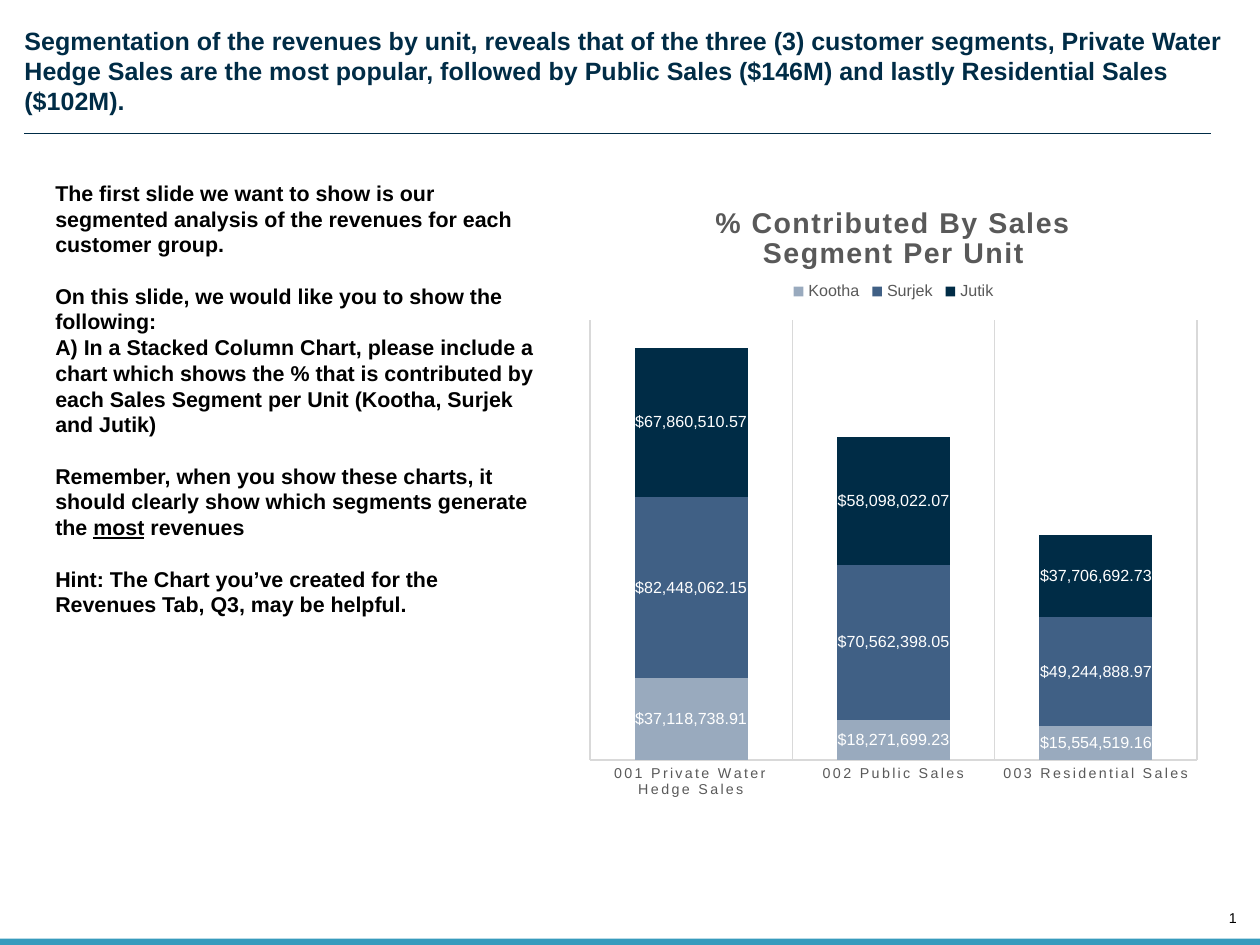
from typing import NamedTuple

from lxml import etree
from pptx import Presentation
from pptx import util as u
from pptx.chart.data import CategoryChartData
from pptx.dml.color import RGBColor
from pptx.enum import chart as ch, shapes, text
from pptx.oxml import parse_xml
from pptx.oxml.ns import nsdecls, qn

WIDE, HIGH = 9.8, 7.35
NAVY, GREY, PALE, BLACK, WHITE = "002C46", "595959", "D9D9D9", "000000", "FFFFFF"
MONEY = '"$"#,##0.00;[Red]\\-"$"#,##0.00'
HEAD = ("Segmentation of the revenues by unit, reveals that of the three (3) customer "
        "segments, Private Water Hedge Sales are the most popular, followed by Public "
        "Sales ($146M) and lastly Residential Sales ($102M).")
NOTES = [
    ["The first slide we want to show is our segmented analysis of the revenues for each "
     "customer group."],
    ["On this slide, we would like you to show the following:\vA) In a Stacked Column Chart, "
     "please include a chart which shows the % that is contributed by each Sales Segment "
     "per Unit (Kootha, Surjek and Jutik)"],
    ["Remember, when you show these charts, it should clearly show which segments generate "
     "the ", "most", " revenues"],
    ["Hint: The Chart you’ve created for the Revenues Tab, Q3, may be helpful."],
]
GROUPS = ["001 Private Water Hedge Sales", "002 Public Sales", "003 Residential Sales"]


class Box(NamedTuple):
    """Hold a place on the slide in inches."""
    left: float
    top: float
    wide: float
    high: float

    def emu(self) -> list[int]:
        """Give the four lengths in slide units."""
        return [u.Inches(n) for n in self]


class Unit(NamedTuple):
    """Hold one business unit with its colour and sales."""
    name: str
    tint: str
    sales: list[float]


UNITS = [
    Unit("Kootha", "99AABE", [37118738.91, 18271699.23, 15554519.16]),
    Unit("Surjek", "406085", [82448062.15, 70562398.05, 49244888.97]),
    Unit("Jutik", NAVY, [67860510.57, 58098022.07, 37706692.73]),
]


def paint(color, tint: str) -> None:
    """Set a colour from a hex string."""
    color.rgb = RGBColor.from_string(tint)


def style(font, size: float, tint: str, bold: bool = False) -> None:
    """Set face, size, colour and weight of a font."""
    font.name, font.size, font.bold = "Arial", u.Pt(size), bold
    paint(font.color, tint)


def stroke(line, tint: str) -> None:
    """Draw a thin line in a colour."""
    paint(line.color, tint)
    line.width = u.Pt(0.75)


def place(shape, box: Box, inset: float = 0) -> None:
    """Move a text shape and reset its frame."""
    shape.left, shape.top, shape.width, shape.height = box.emu()
    frame = shape.text_frame
    frame.auto_size = text.MSO_AUTO_SIZE.NONE
    frame.vertical_anchor = text.MSO_ANCHOR.TOP
    frame.word_wrap = True
    frame.margin_left = frame.margin_right = u.Inches(inset)
    frame.margin_top = frame.margin_bottom = u.Inches(inset / 2)


def lay(node, index: int, inner: bool = False, **share: float) -> None:
    """Fix a chart part at shares of the chart's size."""
    for old in node.findall(qn("c:layout")):
        node.remove(old)
    target = '<c:layoutTarget val="inner"/>' if inner else ""
    modes = "".join(f'<c:{k}Mode val="edge"/>' for k in "xy")
    sizes = "".join(f'<c:{k} val="{v}"/>' for k, v in share.items())
    node.insert(index, parse_xml(
        f'<c:layout {nsdecls("c")}><c:manualLayout>{target}{modes}{sizes}'
        '</c:manualLayout></c:layout>'))


def add_head(slide) -> None:
    """Fill the title and draw the rule below it."""
    place(slide.shapes.title, Box(0.19, 0.2, 9.56, 0.84))
    slide.shapes.title.text_frame.text = HEAD
    para = slide.shapes.title.text_frame.paragraphs[0]
    para.alignment, para.line_spacing = text.PP_ALIGN.LEFT, u.Pt(16.8)
    style(para.font, 14, NAVY, True)
    ends = [u.Inches(n) for n in (0.19, 1.04, 9.42, 1.04)]
    rule = slide.shapes.add_connector(shapes.MSO_CONNECTOR.STRAIGHT, *ends)
    stroke(rule.line, NAVY)
    etree.SubElement(rule._element.spPr, qn("a:effectLst"))


def add_notes(slide) -> None:
    """Fill the body with the brief."""
    body = slide.placeholders[1]
    place(body, Box(0.33, 1.35, 4.01, 3.74), 0.1)
    frame = body.text_frame
    for i, parts in enumerate(NOTES):
        para = frame.add_paragraph() if i else frame.paragraphs[0]
        if len(parts) == 1:
            para.text = parts[0]
        else:
            for part in parts:
                run = para.add_run()
                run.text = part
                run.font.underline = part == "most"
        para.line_spacing = para.space_after = u.Pt(14.4)
        para.space_before = u.Pt(0)
        style(para.font, 12, BLACK, True)
        prop = para._p.get_or_add_pPr()
        prop.set("marL", "0")
        prop.set("indent", "0")
        prop.insert_element_before(parse_xml(f'<a:buNone {nsdecls("a")}/>'), "a:defRPr")


def add_chart(slide) -> None:
    """Draw the stacked columns of sales by group."""
    data = CategoryChartData(number_format=MONEY)
    data.categories = GROUPS
    for unit in UNITS:
        data.add_series(unit.name, unit.sales)
    kind = ch.XL_CHART_TYPE.COLUMN_STACKED
    chart = slide.shapes.add_chart(kind, *Box(4.49, 1.35, 4.92, 4.96).emu(), data).chart
    style(chart.font, 10, BLACK)

    title = chart.chart_title
    title.text_frame.text = "% Contributed By Sales Segment Per Unit"
    run = title.text_frame.paragraphs[0].runs[0]
    style(run.font, 16, GREY, True)
    run._r.get_or_add_rPr().set("spc", "100")
    lay(title._element, 1, x=0.21, y=0.04)

    chart.has_legend = True
    chart.legend.position = ch.XL_LEGEND_POSITION.TOP
    chart.legend.include_in_layout = False
    style(chart.legend.font, 9, GREY)
    lay(chart.legend._element, 1, x=0.33, y=0.16, w=0.34, h=0.05)

    axis = chart.category_axis
    axis.major_tick_mark = axis.minor_tick_mark = ch.XL_TICK_MARK.NONE
    axis.has_major_gridlines = True
    stroke(axis.format.line, PALE)
    stroke(axis.major_gridlines.format.line, PALE)
    style(axis.tick_labels.font, 8, GREY)
    for prop in axis._element.iter(qn("a:defRPr")):
        prop.set("spc", "120")

    worth = chart.value_axis
    worth.minimum_scale, worth.maximum_scale = 0, 200_000_000
    worth.has_major_gridlines = worth.visible = False

    plot = chart.plots[0]
    plot.gap_width, plot.overlap, plot.vary_by_categories = 79, 100, False
    lay(plot._element.getparent(), 0, True, x=0.02, y=0.23, w=0.96, h=0.69)
    for unit, bars in zip(UNITS, plot.series):
        bars.format.fill.solid()
        paint(bars.format.fill.fore_color, unit.tint)
        tags = bars.data_labels
        tags.show_value = True
        tags.position = ch.XL_LABEL_POSITION.CENTER
        tags.number_format, tags.number_format_is_linked = MONEY, False
        style(tags.font, 9, WHITE)


def add_foot(slide) -> None:
    """Draw the bottom band and the page number."""
    band = slide.shapes.add_shape(shapes.MSO_SHAPE.RECTANGLE,
                                  *Box(0, HIGH - 0.05, WIDE, 0.05).emu())
    band.shadow.inherit = False
    band.fill.solid()
    paint(band.fill.fore_color, "379BBD")
    band.line.fill.background()
    box = Box(9.12, 7.07, 0.5, 0.13)
    page = slide.shapes.add_textbox(*box.emu())
    place(page, box)
    para = page.text_frame.paragraphs[0]
    para.alignment = text.PP_ALIGN.RIGHT
    style(para.font, 8, BLACK)
    para._p.append(parse_xml(
        f'<a:fld {nsdecls("a")} id="{{B6F15528-21DE-4FAA-801E-634DDDAF4B2B}}" type="slidenum">'
        f'<a:rPr lang="en-US" sz="800"><a:solidFill><a:srgbClr val="{BLACK}"/></a:solidFill>'
        '<a:latin typeface="Arial"/></a:rPr><a:t>1</a:t></a:fld>'))


def main() -> None:
    """Build and save the slide."""
    deck = Presentation()
    deck.slide_width, deck.slide_height = u.Inches(WIDE), u.Inches(HIGH)
    slide = deck.slides.add_slide(deck.slide_layouts[1])
    for add in (add_foot, add_head, add_notes, add_chart):
        add(slide)
    deck.save("out.pptx")


main()
